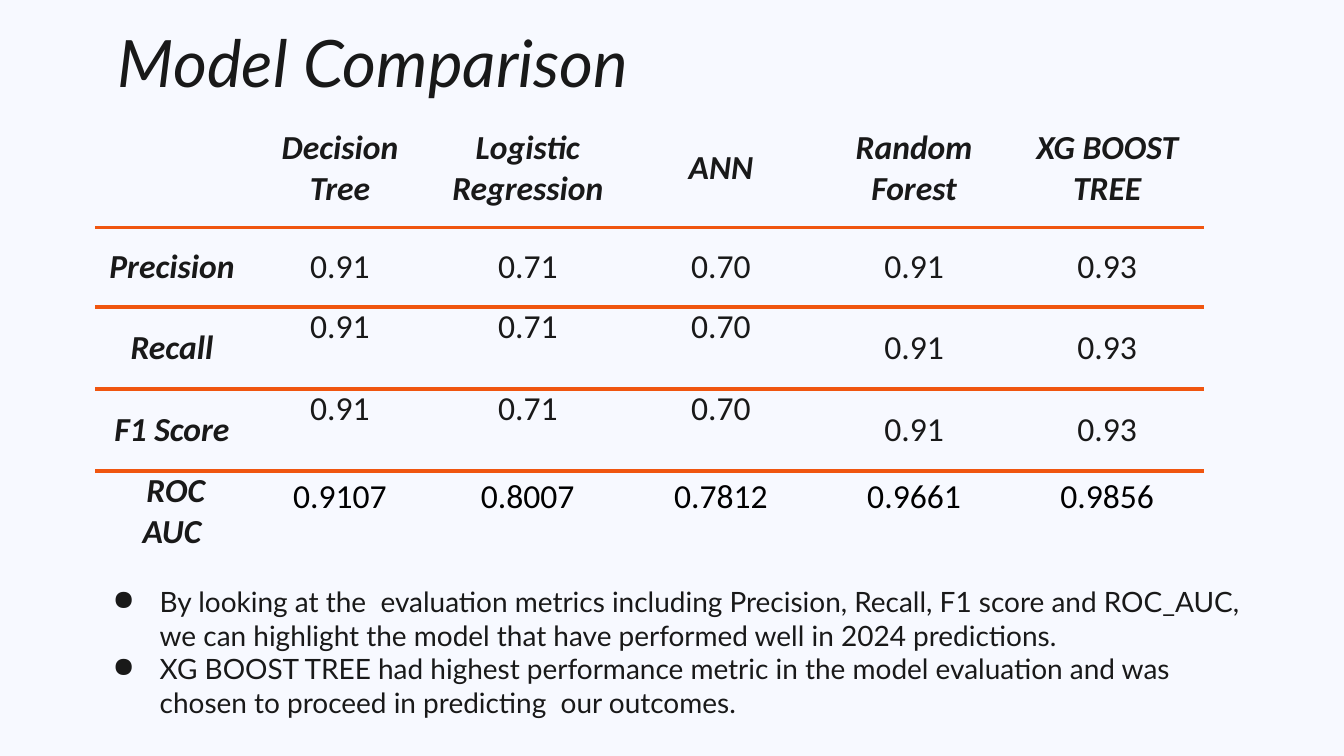
from dataclasses import dataclass

from lxml.etree import SubElement as Sub
from pptx import Presentation
from pptx.dml.color import RGBColor as Rgb
from pptx.enum.text import MSO_ANCHOR as Anchor, PP_ALIGN as Align
from pptx.oxml.ns import qn
from pptx.util import Cm, Pt

COLORS = {"back": "F7F9FF", "ink": "191919", "rule": "F05610", "black": "000000"}
MODELS = ["Decision Tree", "Logistic Regression", "ANN", "Random Forest", "XG BOOST TREE"]
WIDTHS = [2.9, 3.45] + [3.65] * 4
POINTS = [
    "By looking at the  evaluation metrics including Precision, Recall, F1 score and ROC_AUC, "
    "we can highlight the model that have performed well in 2024 predictions.",
    "XG BOOST TREE had highest performance metric in the model evaluation and was "
    "chosen to proceed in predicting  our outcomes.",
]


@dataclass
class Row:
    label: str
    values: list[str]
    height: float
    raised: int = 0  # how many leading values sit at the top of their cells
    color: str = "ink"
    spacing: float | None = None
    strong: bool = False


SCORES = ["0.91", "0.71", "0.70", "0.91", "0.93"]
ROWS = [
    Row("", MODELS, 2.24, strong=True),
    Row("Precision", SCORES, 1.5),
    Row("Recall", SCORES, 1.55, raised=3),
    Row("F1 Score", SCORES, 1.55, raised=3),
    Row(" ROC AUC", ["0.9107", "0.8007", "0.7812", "0.9661", "0.9856"], 1.55,
        raised=5, color="black", spacing=1.15),
]


def add_bullet(para) -> None:
    props = para._p.get_or_add_pPr()
    props.set("marL", str(Cm(1.27)))
    props.set("indent", str(-Cm(0.89)))
    tint = Sub(props, qn("a:buClr"))
    Sub(tint, qn("a:srgbClr"), val=COLORS["ink"])
    Sub(props, qn("a:buChar"), char="●")


def write(para, text: str, *, size: float, face: str = "Lato", color: str = "ink",
          bold: bool = False, italic: bool = False, align=Align.LEFT,
          spacing: float | None = None) -> None:
    para.alignment = align
    if spacing:
        para.line_spacing = spacing
    run = para.add_run()
    run.text = text
    font = run.font
    font.size, font.name, font.bold, font.italic = Pt(size), face, bold, italic
    font.color.rgb = Rgb.from_string(COLORS[color])


def add_box(slide, left: float, top: float, width: float, height: float):
    frame = slide.shapes.add_textbox(Cm(left), Cm(top), Cm(width), Cm(height)).text_frame
    frame.word_wrap = True
    frame.margin_left = frame.margin_right = Cm(0.25)
    frame.margin_top = frame.margin_bottom = Cm(0.25)
    return frame


def set_rules(cell, sides: str) -> None:
    """Draw the named sides (T, B) of a cell and hide its other borders."""
    props = cell._tc.get_or_add_tcPr()
    for side in "LRTB":
        line = Sub(props, qn(f"a:ln{side}"), w=str(Pt(2.25)))
        if side in sides:
            fill = Sub(line, qn("a:solidFill"))
            Sub(fill, qn("a:srgbClr"), val=COLORS["rule"])
        else:
            Sub(line, qn("a:noFill"))


def fill_cell(cell, text: str, anchor, sides: str, **style) -> None:
    set_rules(cell, sides)
    cell.fill.background()
    cell.vertical_anchor = anchor
    cell.margin_left = cell.margin_right = Cm(0.25)
    cell.margin_top = cell.margin_bottom = 0
    write(cell.text_frame.paragraphs[0], text, size=18, face="Calibri",
          align=Align.CENTER, **style)


def add_scores(slide) -> None:
    height = sum(row.height for row in ROWS)
    table = slide.shapes.add_table(len(ROWS), len(WIDTHS), Cm(1.8), Cm(2.06),
                                   Cm(sum(WIDTHS)), Cm(height)).table
    table.first_row = table.horz_banding = False
    for col, width in zip(table.columns, WIDTHS):
        col.width = Cm(width)
    last = len(ROWS) - 1
    for r, row in enumerate(ROWS):
        table.rows[r].height = Cm(row.height)
        sides = ("T" if r > 0 else "") + ("B" if r < last else "")
        fill_cell(table.cell(r, 0), row.label, Anchor.MIDDLE, sides, bold=True, italic=True)
        for c, value in enumerate(row.values, 1):
            anchor = Anchor.TOP if c <= row.raised else Anchor.MIDDLE
            fill_cell(table.cell(r, c), value, anchor, sides, color=row.color,
                      spacing=row.spacing, bold=row.strong, italic=row.strong)


def main() -> None:
    deck = Presentation()
    deck.slide_width, deck.slide_height = Cm(25.4), Cm(14.29)
    slide = deck.slides.add_slide(deck.slide_layouts[6])
    back = slide.background.fill
    back.solid()
    back.fore_color.rgb = Rgb.from_string(COLORS["back"])

    title = add_box(slide, 1.98, 0.46, 21.44, 1.9)
    write(title.paragraphs[0], "Model Comparison", size=35, italic=True, spacing=0.8)

    add_scores(slide)

    notes = add_box(slide, 1.5, 10.8, 22.4, 3.4)
    for i, point in enumerate(POINTS):
        para = notes.add_paragraph() if i else notes.paragraphs[0]
        add_bullet(para)
        write(para, point, size=15)

    deck.save("out.pptx")


if __name__ == "__main__":
    main()
